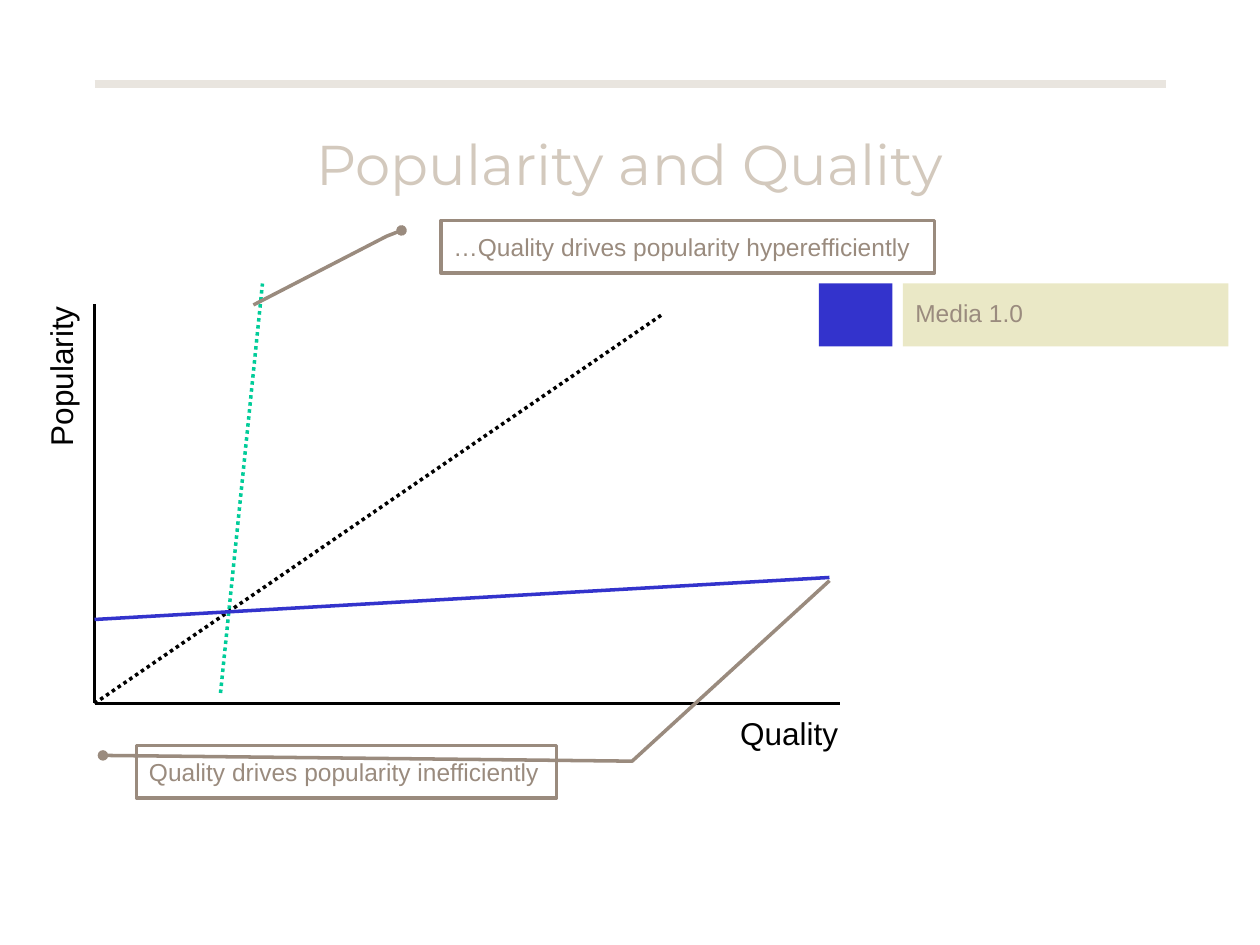
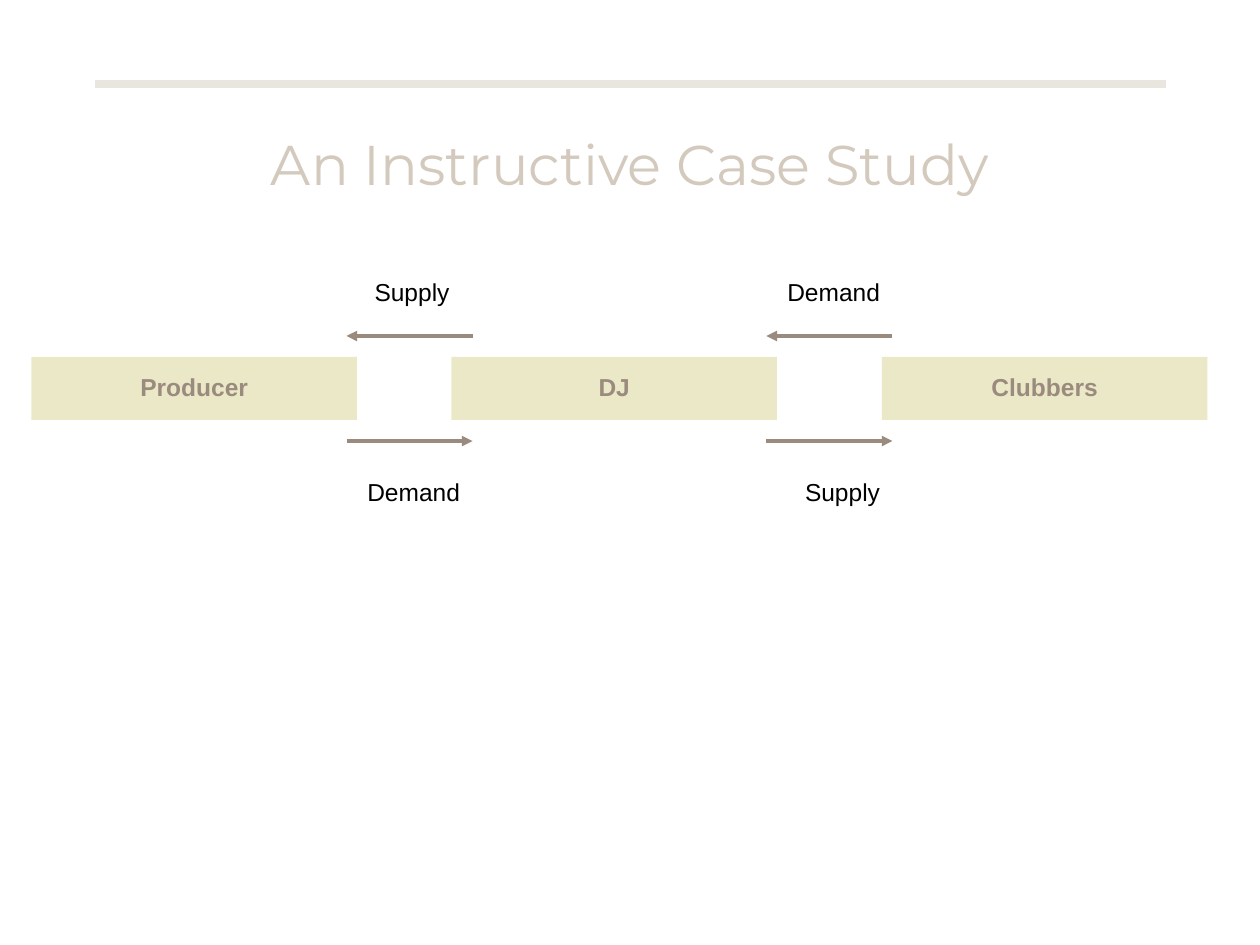
import lxml.etree
import pptx
import pptx.util
import pptx.oxml.ns
from pptx.dml.color import RGBColor
from pptx.enum.dml import MSO_LINE
from pptx.enum.shapes import MSO_CONNECTOR, MSO_SHAPE
from pptx.enum.text import MSO_ANCHOR, PP_ALIGN

# All lengths are in grid units: twelve to the inch.
UNIT = pptx.util.Inches(1) // 12
SLIDE_SIZE = (120, 90)
TITLE_AREA = (9, 8, 102, 15)
RULE = ((9, 8), (111, 8))

WHITE = RGBColor(0xFF, 0xFF, 0xFF)
BLACK = RGBColor(0x00, 0x00, 0x00)
SAND = RGBColor(0xE9, 0xE5, 0xDF)
TITLE_TAN = RGBColor(0xD3, 0xC9, 0xBD)
TAUPE = RGBColor(0x9A, 0x8B, 0x7E)
CREAM = RGBColor(0xEA, 0xE8, 0xC6)
BLUE = RGBColor(0x33, 0x33, 0xCC)
GREEN = RGBColor(0x00, 0xCC, 0x99)
BODY_FONT, TITLE_FONT = "Arial", "Montserrat"

# Slide 1: popularity against quality
QUALITY_TITLE = "Popularity and Quality"
ORIGIN = (9, 67)
CURVES = [  # start, end, colour, dotted
    ((21, 66), (25, 27), GREEN, True),
    ((9, 29), ORIGIN, BLACK, False),
    (ORIGIN, (80, 67), BLACK, False),
    (ORIGIN, (63, 30), BLACK, True),
    ((9, 59), (79, 55), BLUE, False),
]
AXIS_LABELS = [("Quality", (55, 67, 26, 6), 0), ("Popularity", (-2, 33, 16, 6), 270)]
LEGEND = ("Media 1.0", (78, 27, 7, 6), (86, 27, 31, 6))
CALLOUTS = [  # text, area, fill, leader points as (y, x) shares of the area
    ("…Quality drives popularity hyperefficiently", (42, 21, 47, 5), WHITE,
     (0.19, -0.08, 0.3, -0.11, 1.61, -0.38)),
    ("Quality drives popularity inefficiently", (13, 71, 40, 5), None,
     (0.19, -0.08, 0.3, 1.18, -3.14, 1.65)),
]

# Slide 2: the chain of actors and what flows between them
CASE_TITLE = "An Instructive Case Study"
ACTORS = [("Producer", 3), ("DJ", 43), ("Clubbers", 84)]
ACTOR_TOP, ACTOR_WIDTH, ACTOR_HEIGHT = 34, 31, 6
ARROW_GAP, ARROW_LENGTH = 2, 12
FLOW_LABEL_SIZE = (26, 4)
FLOWS = [  # arrow left, (upper label, its right edge), (lower label, its right edge)
    (33, ("Supply", 44), ("Demand", 45)),
    (73, ("Demand", 85), ("Supply", 85)),
]


def grid(*lengths):
    """Turn grid units into EMU."""
    return [length * UNIT for length in lengths]


def add_line(slide, start, end, color, width=2, dotted=False, arrow=False):
    line = slide.shapes.add_connector(MSO_CONNECTOR.STRAIGHT, *grid(*start, *end))
    line.line.color.rgb = color
    line.line.width = pptx.util.Pt(width)
    if dotted:
        line.line.dash_style = MSO_LINE.ROUND_DOT
    if arrow:
        add_line_end(line, "a:tailEnd", "triangle")
    lxml.etree.SubElement(line._element.spPr, pptx.oxml.ns.qn("a:effectLst"))


def add_line_end(shape, tag, kind):
    outline = shape._element.spPr.get_or_add_ln()
    lxml.etree.SubElement(outline, pptx.oxml.ns.qn(tag), type=kind)


def write(shape, text, size, color, align=PP_ALIGN.LEFT, bold=False,
          font=BODY_FONT, spacing=None):
    """Put one run of text in the middle of the shape's height."""
    frame = shape.text_frame
    frame.word_wrap = True
    frame.vertical_anchor = MSO_ANCHOR.MIDDLE
    paragraph = frame.paragraphs[0]
    paragraph.alignment = align
    if spacing:
        paragraph.line_spacing = spacing
    run = paragraph.add_run()
    run.text = text
    run.font.name = font
    run.font.size = pptx.util.Pt(size)
    run.font.bold = bold
    run.font.color.rgb = color


def add_block(slide, area, fill, kind=MSO_SHAPE.RECTANGLE):
    block = slide.shapes.add_shape(kind, *grid(*area))
    block.shadow.inherit = False
    if fill is None:
        block.fill.background()
    else:
        block.fill.solid()
        block.fill.fore_color.rgb = fill
    block.line.fill.background()
    return block


def add_label(slide, text, area, size, rotation=0):
    label = slide.shapes.add_textbox(*grid(*area))
    label.rotation = rotation
    write(label, text, size, BLACK, PP_ALIGN.RIGHT, spacing=0.9)


def add_callout(slide, text, area, fill, leader):
    callout = add_block(slide, area, fill, MSO_SHAPE.LINE_CALLOUT_2)
    for index, share in enumerate(leader):
        callout.adjustments[index] = share
    callout.line.color.rgb = TAUPE
    callout.line.width = pptx.util.Pt(2)
    add_line_end(callout, "a:headEnd", "oval")
    write(callout, text, 14, TAUPE)


def add_titled_slide(deck, heading):
    slide = deck.slides.add_slide(deck.slide_layouts[5])
    add_line(slide, *RULE, SAND, width=4.5)
    title = slide.shapes.title
    title.left, title.top, title.width, title.height = grid(*TITLE_AREA)
    write(title, heading, 32, TITLE_TAN, PP_ALIGN.CENTER, font=TITLE_FONT)
    return slide


def build_quality_slide(deck):
    slide = add_titled_slide(deck, QUALITY_TITLE)
    for start, end, color, dotted in CURVES:
        add_line(slide, start, end, color, dotted=dotted)
    legend_text, swatch_area, legend_area = LEGEND
    add_block(slide, swatch_area, BLUE)
    write(add_block(slide, legend_area, CREAM), legend_text, 14, TAUPE, spacing=0.9)
    for text, area, rotation in AXIS_LABELS:
        add_label(slide, text, area, 18, rotation)
    for callout in CALLOUTS:
        add_callout(slide, *callout)


def build_case_slide(deck):
    slide = add_titled_slide(deck, CASE_TITLE)
    for actor, left in ACTORS:
        block = add_block(slide, (left, ACTOR_TOP, ACTOR_WIDTH, ACTOR_HEIGHT), CREAM)
        write(block, actor, 14, TAUPE, PP_ALIGN.CENTER, bold=True, spacing=0.9)

    upper_y = ACTOR_TOP - ARROW_GAP
    lower_y = ACTOR_TOP + ACTOR_HEIGHT + ARROW_GAP
    label_width, label_height = FLOW_LABEL_SIZE
    label_tops = (upper_y - 6, lower_y + 3)
    for left, *labels in FLOWS:
        right = left + ARROW_LENGTH
        add_line(slide, (right, upper_y), (left, upper_y), TAUPE, arrow=True)
        add_line(slide, (left, lower_y), (right, lower_y), TAUPE, arrow=True)
        for (text, label_right), top in zip(labels, label_tops):
            area = (label_right - label_width, top, label_width, label_height)
            add_label(slide, text, area, 14)


def main():
    deck = pptx.Presentation()
    deck.slide_width, deck.slide_height = grid(*SLIDE_SIZE)
    build_quality_slide(deck)
    build_case_slide(deck)
    deck.save("out.pptx")


if __name__ == "__main__":
    main()
